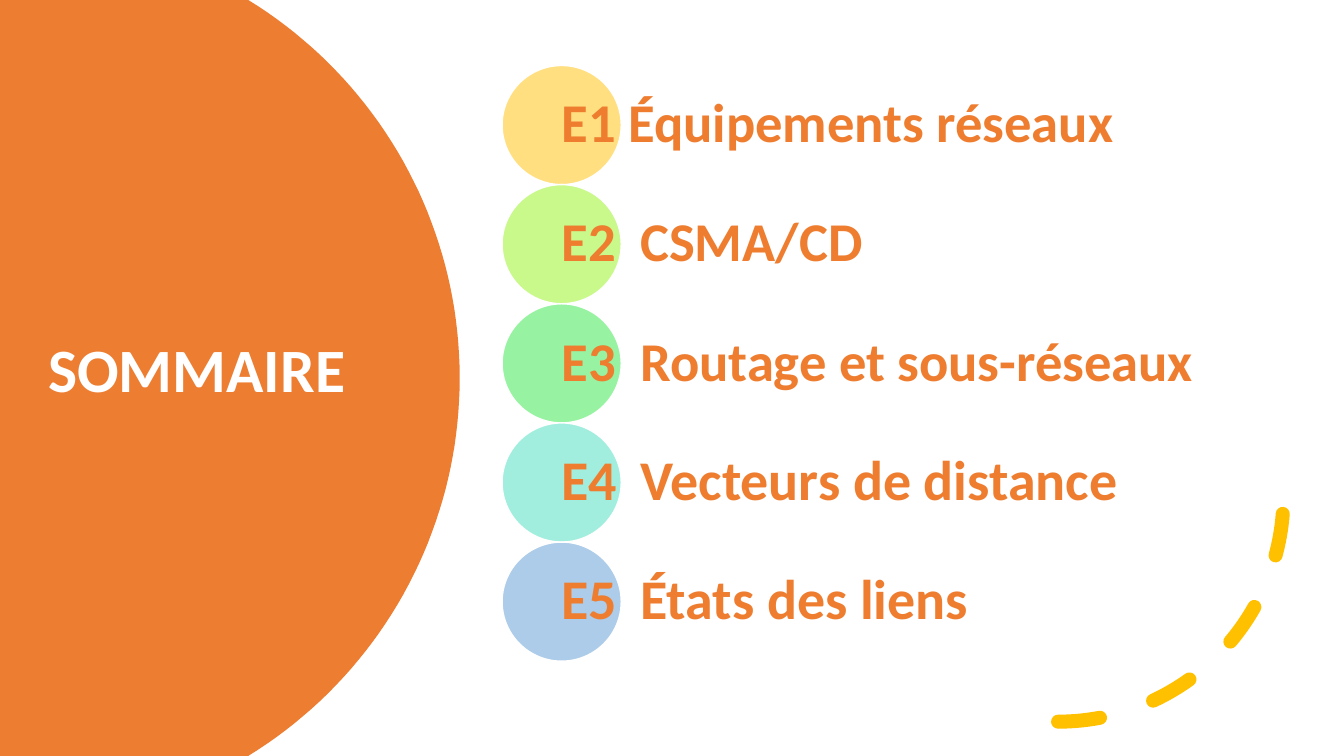
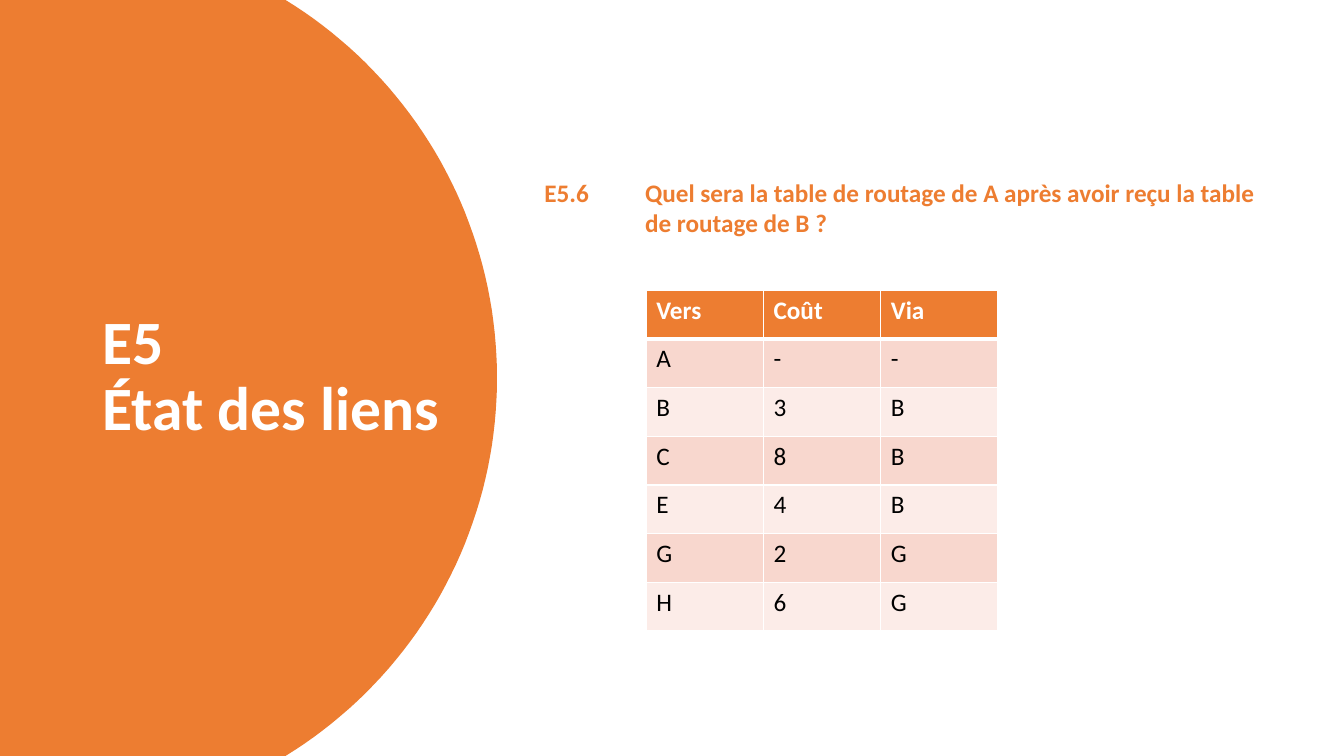
import math

from lxml import etree
from pptx import Presentation
from pptx import util as u
from pptx.dml.color import RGBColor
from pptx.enum import dml, shapes, text
from pptx.oxml.ns import qn

FONT = "Calibri"
SLIDE_W, SLIDE_H = 13.33, 7.5
DISC_RADIUS = 4.4
COLORS = {
    "accent": "ED7D31", "agenda": "EE7D30", "white": "FFFFFF",
    "black": "000000", "gold": "FFC000", "lime": "94F319",
    "green": "30E845", "teal": "46DEBF", "blue": "5B9BD5",
    "band_dark": "F8D7CE", "band_light": "FCECE8",
}
AGENDA = [
    ("E1 Équipements réseaux", "gold", 39),
    ("E2\tCSMA/CD", "lime", 39),
    ("E3\tRoutage et sous-réseaux", "green", 39),
    ("E4\tVecteurs de distance", "teal", 40),
    ("E5\tÉtats des liens", "blue", 40),
]
ROUTES = [
    ("Vers", "Coût", "Via"),
    ("A", "-", "-"),
    ("B", "3", "B"),
    ("C", "8", "B"),
    ("E", "4", "B"),
    ("G", "2", "G"),
    ("H", "6", "G"),
]


def rgb(name):
    return RGBColor.from_string(COLORS[name])


def inches(*values):
    return [u.Inches(v) for v in values]


def style_text(tf, size, color, bold=True):
    for p in tf.paragraphs:
        for r in p.runs:
            r.font.name, r.font.size, r.font.bold = FONT, u.Pt(size), bold
            r.font.color.rgb = rgb(color)


def add_text(s, box, content, size, color, anchor=text.MSO_ANCHOR.MIDDLE,
             spacing=0.9, inset=0.1):
    tf = s.shapes.add_textbox(*inches(*box)).text_frame
    tf.word_wrap = True
    tf.vertical_anchor = anchor
    tf.margin_left = tf.margin_right = u.Inches(inset)
    tf.text = content
    p = tf.paragraphs[0]
    p.line_spacing = spacing
    style_text(tf, size, color)
    return p


def add_title_disc(s, right, title, title_box):
    """Large disc cut off by the slide edges, with the title on it."""
    center_x, center_y = right - DISC_RADIUS, SLIDE_H / 2
    limit = math.asin(center_y / DISC_RADIUS)
    steps = 80
    angles = [limit * (2 * i / steps - 1) for i in range(steps + 1)]
    rim = [(center_x + DISC_RADIUS * math.cos(a),
            center_y + DISC_RADIUS * math.sin(a)) for a in angles]
    builder = s.shapes.build_freeform(0, 0, scale=u.Inches(1) / 1000)
    outline = rim + [(0, SLIDE_H)]
    builder.add_line_segments([(x * 1000, y * 1000) for x, y in outline])
    disc = builder.convert_to_shape()
    disc.shadow.inherit = False
    disc.fill.solid()
    disc.fill.fore_color.rgb = rgb("accent")
    disc.line.fill.background()
    add_text(s, title_box, title, 44, "white")


def add_dashed_arc(s, box):
    arc = s.shapes.add_shape(shapes.MSO_SHAPE.ARC, *inches(*box))
    arc.shadow.inherit = False
    arc.fill.background()
    arc.line.color.rgb = rgb("gold")
    arc.line.width = u.Pt(10)
    arc.line.dash_style = dml.MSO_LINE.DASH
    # Round dash ends, curve in the lower right quadrant
    arc.element.spPr.find(qn("a:ln")).set("cap", "rnd")
    arc.element.spPr.find(qn("a:xfrm")).set("flipV", "1")


def add_agenda(s, box):
    left, top, width, height = box
    size = height / len(AGENDA)
    for i, (label, color, points) in enumerate(AGENDA):
        y = top + i * size
        dot = s.shapes.add_shape(shapes.MSO_SHAPE.OVAL,
                                 *inches(left, y, size, size))
        dot.shadow.inherit = False
        dot.fill.solid()
        dot.fill.fore_color.rgb = rgb(color)
        tint = dot.element.spPr.find(qn("a:solidFill"))[0]
        etree.SubElement(tint, qn("a:alpha"), val="50000")
        dot.line.color.rgb = rgb("white")
        dot.line.width = u.Pt(1)
        # Label starts at the centre of its dot
        p = add_text(s, (left + size / 2, y, width - size / 2, size),
                     label, points, "agenda", inset=0)
        tabs = etree.SubElement(p._p.get_or_add_pPr(), qn("a:tabLst"))
        etree.SubElement(tabs, qn("a:tab"), pos=str(u.Inches(0.78)), algn="l")


def add_question(s, box, content):
    p = add_text(s, box, content, 18, "accent",
                 anchor=text.MSO_ANCHOR.TOP, spacing=1.0)
    # Hanging indent keeps the wrapped line under the question
    pPr = p._p.get_or_add_pPr()
    pPr.set("marL", str(u.Inches(1)))
    pPr.set("indent", str(-u.Inches(1)))


def set_borders(cell, bottom):
    tcPr = cell._tc.get_or_add_tcPr()
    widths = {"a:lnL": 1, "a:lnR": 1, "a:lnT": 1, "a:lnB": bottom}
    for i, (tag, width) in enumerate(widths.items()):
        ln = etree.Element(qn(tag), w=str(u.Pt(width)))
        fill = etree.SubElement(ln, qn("a:solidFill"))
        etree.SubElement(fill, qn("a:srgbClr"), val=COLORS["white"])
        tcPr.insert(i, ln)


def add_routing_table(s, box):
    height = box[3]
    table = s.shapes.add_table(len(ROUTES), len(ROUTES[0]),
                               *inches(*box)).table
    for i, values in enumerate(ROUTES):
        header = i == 0
        table.rows[i].height = u.Inches(height / len(ROUTES))
        band = "accent" if header else "band_dark" if i % 2 else "band_light"
        for j, value in enumerate(values):
            cell = table.cell(i, j)
            cell.text_frame.text = value
            style_text(cell.text_frame, 18,
                       "white" if header else "black", bold=header)
            cell.fill.solid()
            cell.fill.fore_color.rgb = rgb(band)
            set_borders(cell, 3 if header else 1)


def build_summary(s):
    add_title_disc(s, 4.56, "SOMMAIRE", (0.38, 1.26, 4.18, 4.88))
    add_dashed_arc(s, (8.26, 2.69, 4.47, 4.47))
    add_agenda(s, (4.98, 0.65, 6.91, 5.91))


def build_exercise(s):
    add_title_disc(s, 4.93, "E5\vÉtat des liens", (0.92, 0.7, 3.6, 6.09))
    add_question(s, (5.3, 1.71, 7.29, 0.71),
                 "E5.6\tQuel sera la table de routage de A après avoir "
                 "reçu la table de routage de B ?")
    add_routing_table(s, (6.41, 2.88, 3.49, 3.38))


def main():
    prs = Presentation()
    prs.slide_width, prs.slide_height = inches(SLIDE_W, SLIDE_H)
    for build in (build_summary, build_exercise):
        build(prs.slides.add_slide(prs.slide_layouts[6]))
    prs.save("out.pptx")


if __name__ == "__main__":
    main()
